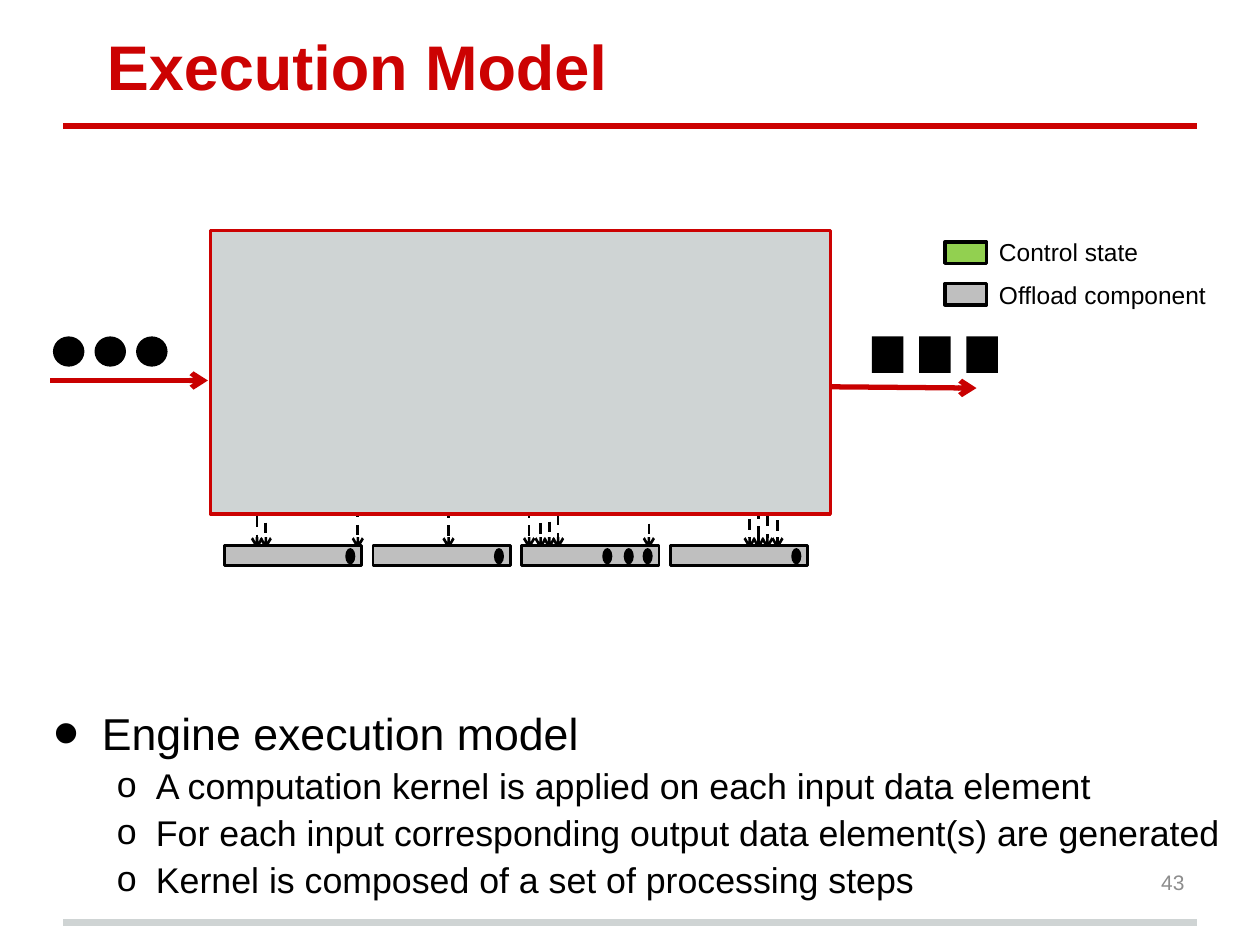
"""Build the Execution Model slide."""
from lxml.etree import SubElement
from pptx import Presentation
from pptx.dml.color import RGBColor
from pptx.enum.dml import MSO_LINE
from pptx.enum.shapes import MSO_CONNECTOR, MSO_SHAPE
from pptx.enum.text import MSO_ANCHOR, PP_ALIGN
from pptx.oxml.ns import qn
from pptx.util import Inches, Pt

BLACK, RED, ARROW_RED = "000000", "CC0202", "C90000"
PALE, GREY, GREEN = "CFD4D4", "BFBFBF", "92D050"

deck = Presentation()
deck.slide_width, deck.slide_height = Inches(10), Inches(7.5)
slide = deck.slides.add_slide(deck.slide_layouts[6])


def add_block(kind, left, top, width, height, fill, border=0):
    block = slide.shapes.add_shape(
        kind, Inches(left), Inches(top), Inches(width), Inches(height))
    block.shadow.inherit = False
    block.fill.solid()
    block.fill.fore_color.rgb = RGBColor.from_string(fill)
    if border:
        block.line.color.rgb = RGBColor.from_string(RED if fill == PALE else BLACK)
        block.line.width = Pt(border)
    else:
        block.line.fill.background()


def add_text(left, top, width, height, lines, size, color=BLACK, inset=0.05,
             anchor=MSO_ANCHOR.TOP, bold=False):
    frame = slide.shapes.add_textbox(
        Inches(left), Inches(top), Inches(width), Inches(height)).text_frame
    frame.word_wrap = True
    frame.vertical_anchor = anchor
    frame.margin_left = frame.margin_right = Inches(0.1)
    frame.margin_top = frame.margin_bottom = Inches(inset)
    for index, line in enumerate(lines):
        paragraph = frame.paragraphs[0] if index == 0 else frame.add_paragraph()
        run = paragraph.add_run()
        run.text = line
        run.font.name = "Arial"
        run.font.size = Pt(size)
        run.font.bold = bold
        run.font.color.rgb = RGBColor.from_string(color)
    return frame


step_routes = [
    (5.88, 2.52, 6.17), (5.88, 2.84, 6.09), (5.43, 2.83, 5.15), (5.88, 3.15, 6.02),
    (4.56, 2.88, 4.36), (5.88, 3.46, 5.95), (3.49, 3.51, 3.56), (4.56, 3.19, 4.43),
    (4.13, 3.51, 4.2), (4.14, 2.84, 4.29), (3.06, 3.51, 2.84), (2.33, 3.51, 2.04),
    (2.33, 3.2, 2.11),
]
routes = [
    (0.5, 7.32, 9.5, 7.32, PALE, 4),
    (0.5, 1, 9.5, 1, RED, 4),
    (0.4, 3.02, 1.65, 3.02, ARROW_RED, 3),
    (6.58, 3.07, 7.75, 3.08, ARROW_RED, 3),
] + [(x, y, end, 4.36, BLACK, 1.5) for x, y, end in step_routes]

for x, y, end_x, end_y, color, weight in routes:
    is_step = color == BLACK
    route = slide.shapes.add_connector(
        MSO_CONNECTOR.ELBOW if is_step else MSO_CONNECTOR.STRAIGHT,
        Inches(x), Inches(y), Inches(end_x), Inches(end_y))
    route.line.color.rgb = RGBColor.from_string(color)
    route.line.width = Pt(weight)
    properties = route._element.spPr
    if is_step:
        properties.find(qn("a:prstGeom")).set("prst", "bentConnector2")
        route.line.dash_style = MSO_LINE.DASH
    if weight < 4:
        SubElement(properties.find(qn("a:ln")), qn("a:tailEnd"), type="arrow")
    SubElement(properties, qn("a:effectLst"))

for column in range(4):
    queue_left = 1.78 + 1.18 * column
    add_block(MSO_SHAPE.RECTANGLE, queue_left, 4.33, 1.09, 0.16, GREY, 1.5)
    add_block(MSO_SHAPE.OVAL, queue_left + 0.96, 4.35, 0.08, 0.13, BLACK)
for queued_left in (4.78, 4.95):
    add_block(MSO_SHAPE.OVAL, queued_left, 4.35, 0.08, 0.13, BLACK)

add_block(MSO_SHAPE.RECTANGLE, 1.67, 1.83, 4.92, 2.25, PALE, 2)

for item in range(3):
    add_block(MSO_SHAPE.OVAL, 0.42 + 0.33 * item, 2.67, 0.25, 0.24, BLACK)
    add_block(MSO_SHAPE.RECTANGLE, 6.92 + 0.375 * item, 2.67, 0.25, 0.29, BLACK)

legend = [("Control state", GREEN), ("Offload component", GREY)]
for row, (label, swatch) in enumerate(legend):
    add_block(MSO_SHAPE.RECTANGLE, 7.5, 1.92 + 0.33 * row, 0.33, 0.17, swatch, 2)
    add_text(7.83, 1.83 + 0.34 * row, 1.92, 0.34, [label], 14)

title = add_text(0.5, -0.33, 9, 1.25, ["Execution Model"], 36, RED, 0.1,
                 MSO_ANCHOR.BOTTOM, True)
title.paragraphs[0]._p.get_or_add_pPr().set("marL", str(Inches(0.25)))

page_number = add_text(8.33, 6.82, 1.17, 0.36, ["43"], 12, "8C8C8C",
                       anchor=MSO_ANCHOR.MIDDLE)
page_number.paragraphs[0].alignment = PP_ALIGN.RIGHT

summary = add_text(0.33, 5.55, 9.54, 1.83, [
    "Engine execution model",
    "A computation kernel is applied on each input data element",
    "For each input corresponding output data element(s) are generated",
    "Kernel is composed of a set of processing steps",
], 20.4, inset=0.1)
summary.paragraphs[0].runs[0].font.size = Pt(25.5)
for index, point in enumerate(summary.paragraphs):
    margin, hang, mark, scale = (0.81, 0.31, "o", 100) if index else (0.38, 0.38, "•", 167)
    point.line_spacing = 0.9
    point.space_before = Pt(4.8 if index else 0)
    point.level = 1 if index else 0
    layout = point._p.get_or_add_pPr()
    layout.set("marL", str(Inches(margin)))
    layout.set("indent", str(-Inches(hang)))
    SubElement(SubElement(layout, qn("a:buClr")), qn("a:srgbClr"), val=BLACK)
    SubElement(layout, qn("a:buSzPct"), val=str(scale * 1000))
    SubElement(layout, qn("a:buFont"), typeface="Arial")
    SubElement(layout, qn("a:buChar"), char=mark)

deck.save("out.pptx")
